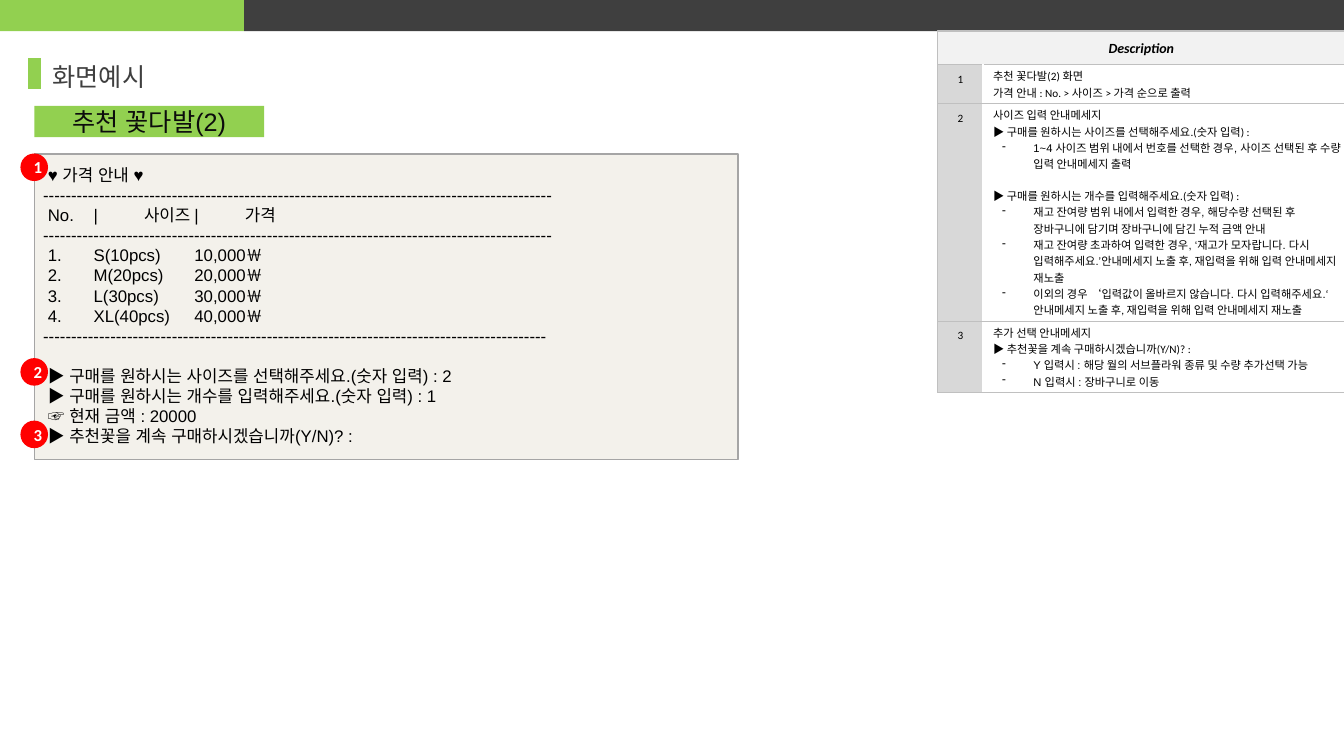
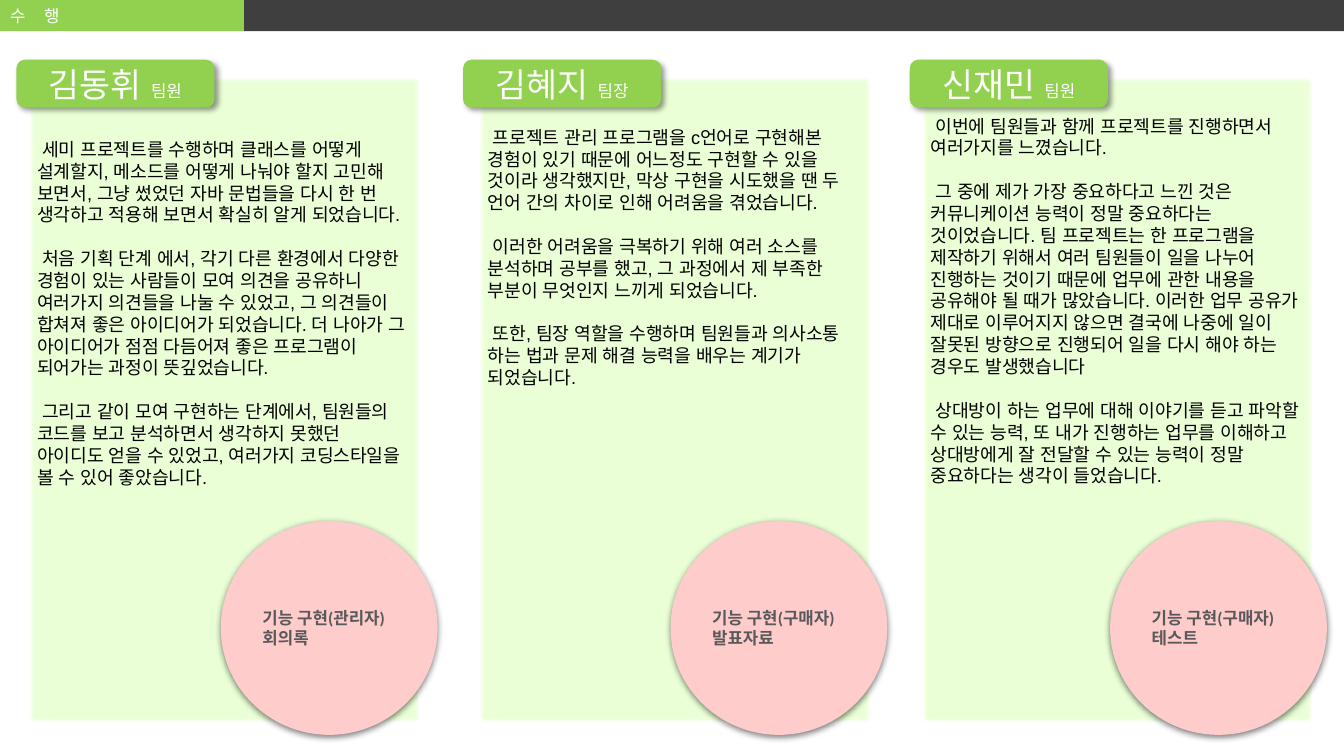
from lxml.etree import SubElement
from pptx import Presentation
from pptx.dml.color import RGBColor
from pptx.enum.shapes import MSO_CONNECTOR, MSO_SHAPE
from pptx.enum.text import MSO_ANCHOR, MSO_AUTO_SIZE, PP_ALIGN
from pptx.oxml.ns import qn
from pptx.table import _Cell
from pptx.util import Inches, Pt

GREEN, DARK, GRAY, RED = "92D050", "3F3F3F", "C0C0C0", "FF0000"
WHITE, BLACK = "FFFFFF", "000000"
CJK = "Noto Sans CJK KR"


def rgb(code):
    return RGBColor.from_string(code)


def dress(item, text=(), fill=None, line=None, alpha=None, shade=None, soft=None,
          inset=(0.1, 0.05, 0.1, 0.05), anchor=MSO_ANCHOR.MIDDLE, **base):
    """Fill and outline a shape or cell, then write its paragraphs.

    A paragraph is a string, or (text, format); its text may be a list of (run, format).
    """
    cell = isinstance(item, _Cell)
    if fill:
        item.fill.solid()
        item.fill.fore_color.rgb = rgb(fill)
        if alpha:
            code = item._element.spPr.find(".//" + qn("a:srgbClr"))
            SubElement(code, qn("a:alpha"), val=str(alpha * 1000))
        if not cell:
            item.shadow.inherit = False
            item.line.fill.background()
    if line:
        item.line.color.rgb = rgb(line)
        item.line.width = Pt(1)
    if shade or soft:
        effect = item._element.spPr.find(qn("a:effectLst"))
    if shade:
        dim, blur, dist, turn = shade
        cast = SubElement(effect, qn("a:outerShdw"), blurRad=str(Pt(blur)),
                          dist=str(Pt(dist)), dir=str(turn * 60000), rotWithShape="0")
        tone = SubElement(cast, qn("a:srgbClr"), val=BLACK)
        SubElement(tone, qn("a:alpha"), val=str(dim * 1000))
    if soft:
        SubElement(effect, qn("a:softEdge"), rad=str(Pt(soft)))

    # Text frame
    frame = item.text_frame
    body = item if cell else frame
    body.margin_left, body.margin_top, body.margin_right, body.margin_bottom = map(Inches, inset)
    body.vertical_anchor = anchor
    frame.word_wrap = True
    if not cell:
        frame.auto_size = MSO_AUTO_SIZE.NONE

    # Paragraphs and runs
    for i, part in enumerate(text):
        words, own = part if isinstance(part, tuple) else (part, {})
        look = {**base, **own}
        para = frame.paragraphs[0] if i == 0 else frame.add_paragraph()
        para.alignment = look.get("align", PP_ALIGN.LEFT)
        para.space_before = Pt(look.get("gap", 0))
        props = para._p.get_or_add_pPr()
        props.set("marL", str(Inches(look.get("left", 0))))
        props.set("indent", str(Inches(look.get("hang", 0))))
        if "bullet" in look:
            SubElement(props, qn("a:buChar"), char=look["bullet"])
        if "tabs" in look:
            stops = SubElement(props, qn("a:tabLst"))
            for spot in look["tabs"]:
                SubElement(stops, qn("a:tab"), pos=str(Inches(spot)), algn="l")
        for word, extra in [(words, {})] if isinstance(words, str) else words:
            style = {**look, **extra}
            run = para.add_run()
            run.text = word
            font = run.font
            font.name, font.size = style["font"], Pt(style["size"])
            font.bold, font.italic = style.get("bold", False), style.get("italic", False)
            font.color.rgb = rgb(style["color"])
            if "space" in style:
                font._element.set("spc", str(style["space"]))
            SubElement(font._element, qn("a:ea"), typeface=style.get("asian", style["font"]))


deck = Presentation()
deck.slide_width, deck.slide_height = Inches(13.33), Inches(7.5)
layout = deck.slide_layouts[5]
demo, team = [deck.slides.add_slide(layout) for _ in range(2)]

# Top bands, shared through the layout
for x, wide, tint in [(0, 2.42, GREEN), (2.42, 10.91, DARK)]:
    band = demo.shapes.add_shape(
        MSO_SHAPE.RECTANGLE, Inches(x), Inches(0), Inches(wide), Inches(0.31))
    dress(band, fill=tint)
    layout.shapes._spTree.append(band._element)

# Titles
for slide, place, name, look in [
    (demo, (0.52, 0.32, 4.64, 0.88), "화면예시", dict(size=18, color=DARK, inset=(0, 0, 0, 0))),
    (team, (0, 0, 2.42, 0.31), "수 행", dict(size=12, color=WHITE, space=500)),
]:
    title = slide.shapes.title
    title.left, title.top, title.width, title.height = map(Inches, place)
    dress(title, [name], font="Arial", **look)

# Slide 1: title mark and screen name
mark = demo.shapes.add_connector(
    MSO_CONNECTOR.STRAIGHT, Inches(0.34), Inches(0.58), Inches(0.34), Inches(0.88))
mark.line.color.rgb = rgb(GREEN)
mark.line.width = Pt(9)
SubElement(mark._element.spPr, qn("a:effectLst"))
label = demo.shapes.add_shape(
    MSO_SHAPE.RECTANGLE, Inches(0.34), Inches(1.05), Inches(2.28), Inches(0.31))
dress(label, ["추천 꽃다발(2)"], fill=GREEN, font="Arial", size=18, color="0C0C0C",
      align=PP_ALIGN.CENTER)

# Slide 1: description table
head = demo.shapes.add_shape(
    MSO_SHAPE.RECTANGLE, Inches(9.3), Inches(0.31), Inches(4.04), Inches(0.33))
dress(head, ["Description"], fill="F2F2F2", line="BFBFBF", font="Calibri", size=10,
      color=BLACK, bold=True, italic=True, align=PP_ALIGN.CENTER)

lead = dict(left=0.1)
dash = dict(left=0.5, hang=-0.31, bullet="-", font="Arial")
plain = dict(font="Calibri")
notes = [
    (0.39, [
        ("추천 꽃다발(2) 화면", lead),
        ("가격 안내 : No. > 사이즈 > 가격 순으로 출력", lead),
    ]),
    (2.14, [
        ("사이즈 입력 안내메세지", lead),
        ("▶ 구매를 원하시는 사이즈를 선택해주세요.(숫자 입력) :", lead),
        ("1~4 사이즈 범위 내에서 번호를 선택한 경우, 사이즈 선택된 후 수량 입력 안내메세지 출력", dash),
        ("▶ 구매를 원하시는 개수를 입력해주세요.(숫자 입력) :", {**lead, "gap": 11}),
        ("재고 잔여량 범위 내에서 입력한 경우, 해당수량 선택된 후 장바구니에 담기며 "
         "장바구니에 담긴 누적 금액 안내", dash),
        ([("재고 잔여량 초과하여 입력한 경우, ‘재고가 모자랍니다. 다시 입력해주세요.’", {}),
          ("안내메세지 노출 후, 재입력을 위해 입력 안내메세지 재노출", plain)], dash),
        ([("이외의 경우 ‘", plain),
          ("입력값이 올바르지 않습니다. 다시 입력해주세요.", {}),
          ("‘ 안내메세지 노출 후, 재입력을 위해 입력 안내메세지 재노출", plain)], dash),
    ]),
    (0.71, [
        ("추가 선택 안내메세지", lead),
        ("▶ 추천꽃을 계속 구매하시겠습니까(Y/N)? :", lead),
        ("Y 입력시 : 해당 월의 서브플라워 종류 및 수량 추가선택 가능", dash),
        ("N 입력시 : 장바구니로 이동", dash),
    ]),
]
grid = demo.shapes.add_table(
    len(notes), 2, Inches(9.3), Inches(0.64), Inches(4.04), Inches(3.24)).table
grid.first_row = grid.horz_banding = False
grid.columns[0].width, grid.columns[1].width = Inches(0.45), Inches(3.59)
small = dict(font="Calibri", asian=CJK, size=8, color=BLACK)
for i, (tall, lines) in enumerate(notes):
    grid.rows[i].height = Inches(tall)
    num, note = grid.cell(i, 0), grid.cell(i, 1)
    for cell, sides in [(num, "LTB"), (note, "RTB")]:
        props = cell._tc.get_or_add_tcPr()
        for side in sides:
            edge = SubElement(props, qn("a:ln" + side), w=str(Pt(0.75)))
            SubElement(SubElement(edge, qn("a:solidFill")), qn("a:srgbClr"), val=GRAY)
    dress(num, [str(i + 1)], fill="D8D8D8", inset=(0.04, 0.08, 0.04, 0.08),
          anchor=MSO_ANCHOR.TOP, align=PP_ALIGN.CENTER, **small)
    dress(note, lines, fill=WHITE, inset=(0, 0.03, 0, 0.03), **small)

# Slide 1: console screen
board = demo.shapes.add_shape(
    MSO_SHAPE.RECTANGLE, Inches(0.34), Inches(1.53), Inches(6.98), Inches(3.03))
dress(board, fill="D2CAB5", alpha=26, line="A5A5A5")
for i, y in enumerate([1.53, 3.56, 4.18]):
    badge = demo.shapes.add_shape(
        MSO_SHAPE.OVAL, Inches(0.21), Inches(y), Inches(0.26), Inches(0.26))
    dress(badge, [str(i + 1)], fill=RED, line=RED, font="Calibri", size=12, color=WHITE,
          bold=True, align=PP_ALIGN.CENTER)

rule = "-" * 91
sizes = [("S", 10), ("M", 20), ("L", 30), ("XL", 40)]
prices = [(f" {i}.\t{size}({n}pcs)\t{n},000￦", dict(tabs=[2, 4]))
          for i, (size, n) in enumerate(sizes, 1)]
screen = demo.shapes.add_textbox(Inches(0.33), Inches(1.53), Inches(7.99), Inches(3.03))
dress(screen, [
    " ♥ 가격 안내 ♥",
    rule,
    (" No.\t|\t사이즈\t|\t가격", dict(tabs=[1, 2, 3.22, 4])),
    rule,
    *prices,
    rule[1:],
    (" ▶ 구매를 원하시는 사이즈를 선택해주세요.(숫자 입력) : 2", dict(gap=14)),
    " ▶ 구매를 원하시는 개수를 입력해주세요.(숫자 입력) : 1",
    " ☞ 현재 금액 : 20000",
    " ▶ 추천꽃을 계속 구매하시겠습니까(Y/N)? :",
], inset=(0.1, 0.1, 0.1, 0.1), anchor=MSO_ANCHOR.TOP, font="Arial", size=12, color=BLACK)

# Slide 2: one panel, name tag and task circle per member
people = [
    ("김동휘", "팀원", ["기능 구현(관리자)", "회의록"], (0.27, 0.17, 2.19), 0.62, [
        " 세미 프로젝트를 수행하며 클래스를 어떻게 설계할지, 메소드를 어떻게 나눠야 할지 고민해 "
        "보면서, 그냥 썼었던 자바 문법들을 다시 한 번 생각하고 적용해 보면서 확실히 알게 되었습니다.",
        " 처음 기획 단계 에서, 각기 다른 환경에서 다양한 경험이 있는 사람들이 모여 의견을 공유하니 "
        "여러가지 의견들을 나눌 수 있었고, 그 의견들이 합쳐져 좋은 아이디어가 되었습니다. 더 나아가 "
        "그 아이디어가 점점 다듬어져 좋은 프로그램이 되어가는 과정이 뜻깊었습니다.",
        " 그리고 같이 모여 구현하는 단계에서, 팀원들의 코드를 보고 분석하면서 생각하지 못했던 "
        "아이디도 얻을 수 있었고, 여러가지 코딩스타일을 볼 수 있어 좋았습니다.",
    ]),
    ("김혜지", "팀장", ["기능 구현(구매자)", "발표자료"], (4.74, 4.6, 6.65), 0.5, [
        " 프로젝트 관리 프로그램을 c언어로 구현해본 경험이 있기 때문에 어느정도 구현할 수 있을 "
        "것이라 생각했지만, 막상 구현을 시도했을 땐 두 언어 간의 차이로 인해 어려움을 겪었습니다.",
        " 이러한 어려움을 극복하기 위해 여러 소스를 분석하며 공부를 했고, 그 과정에서 제 부족한 "
        "부분이 무엇인지 느끼게 되었습니다.",
        " 또한, 팀장 역할을 수행하며 팀원들과 의사소통 하는 법과 문제 해결 능력을 배우는 계기가 "
        "되었습니다.",
    ]),
    ("신재민", "팀원", ["기능 구현(구매자)", "테스트"], (9.13, 9.03, 11.01), 0.39, [
        " 이번에 팀원들과 함께 프로젝트를 진행하면서 여러가지를 느꼈습니다.",
        " 그 중에 제가 가장 중요하다고 느낀 것은 커뮤니케이션 능력이 정말 중요하다는 것이었습니다. "
        "팀 프로젝트는 한 프로그램을 제작하기 위해서 여러 팀원들이 일을 나누어 진행하는 것이기 "
        "때문에 업무에 관한 내용을 공유해야 될 때가 많았습니다. 이러한 업무 공유가 제대로 "
        "이루어지지 않으면 결국에 나중에 일이 잘못된 방향으로 진행되어 일을 다시 해야 하는 경우도 "
        "발생했습니다",
        " 상대방이 하는 업무에 대해 이야기를 듣고 파악할 수 있는 능력, 또 내가 진행하는 업무를 "
        "이해하고 상대방에게 잘 전달할 수 있는 능력이 정말 중요하다는 생각이 들었습니다.",
    ]),
]
for name, role, tasks, spots, drop, story in people:
    panel, tag, disc = [
        team.shapes.add_shape(kind, Inches(x), Inches(y), Inches(wide), Inches(tall))
        for x, (kind, y, wide, tall) in zip(spots, [
            (MSO_SHAPE.RECTANGLE, 0.75, 3.91, 6.44),
            (MSO_SHAPE.ROUNDED_RECTANGLE, 0.6, 1.95, 0.46),
            (MSO_SHAPE.OVAL, 5.17, 2.15, 2.12),
        ])]
    dress(panel, [story[0], *[(text, dict(gap=15.6)) for text in story[1:]]],
          fill="CCFF99", alpha=40, soft=2.5, inset=(0.1, drop, 0.1, 0.05),
          anchor=MSO_ANCHOR.TOP, font="Arial", size=13, color=BLACK)
    dress(tag, [([(name + " ", {}), (role, dict(size=12))], {})], fill=GREEN, line=GREEN,
          shade=(40, 4, 3, 45), font="Arial", size=24, color=WHITE, align=PP_ALIGN.CENTER)
    dress(disc, tasks, fill="FFCCCC", shade=(50, 4.5, 1.5, 90),
          inset=(0.1, 0.1, 0.1, 0.1), font="Calibri", size=12, color="595959", bold=True)

deck.save("out.pptx")
